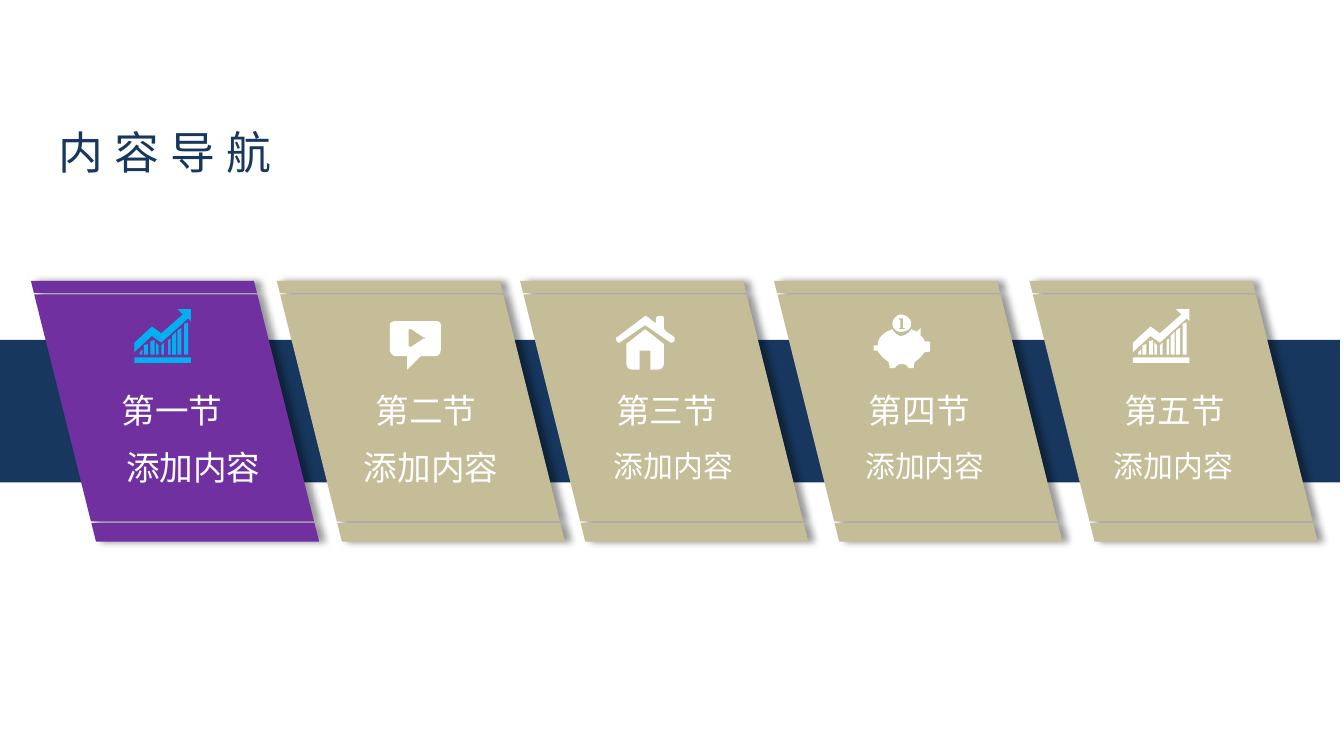
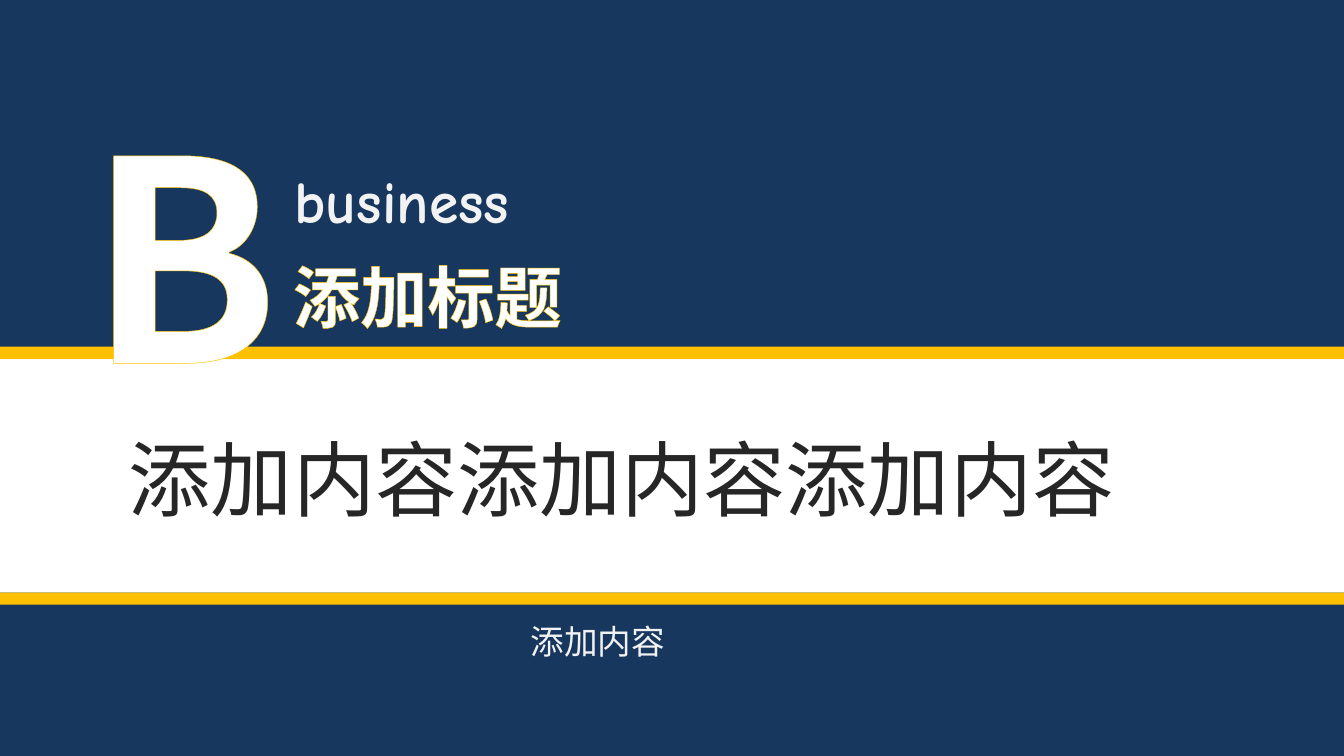
from lxml import etree
from pptx import Presentation
from pptx.dml.color import RGBColor
from pptx.enum import shapes, text
from pptx.oxml import ns
from pptx.util import Inches, Pt

NAVY, WHITE, GOLD, TAN = "17375E", "FFFFFF", "FFC000", "C4BD97"
PURPLE, CYAN, PALE, DARK = "7030A0", "00B0F0", "F2F2F2", "262626"
SANS, COMIC = "Noto Sans CJK SC", "Comic Neue"
TIGHT = (0.07, 0.04)

# Icons in hundredths of an inch: pairs are corners, sixes are Bezier curves
CHART_BARS = [  # left, right, top at left, top at right
    (4, 6, 32, 30), (7, 10, 27, 26), (12, 15, 24, 23), (16, 18, 25, 27),
    (20, 22, 27, 25), (25, 27, 23, 22), (28, 31, 20, 17), (32, 35, 16, 14),
    (37, 40, 11, 10),
]
CHART = [
    [(0, 36), (42, 36), (42, 40), (0, 40)],
    [(0, 25), (13, 13), (20, 18), (36, 4), (32, 0), (42, 0), (42, 9), (40, 7),
     (20, 25), (13, 20), (0, 32)],
] + [[(x0, y0), (x0, 34), (x1, 34), (x1, y1)] for x0, x1, y0, y1 in CHART_BARS]
BUBBLE = [
    [(34, 0), (4, 0), (2, 0, 0, 1, 0, 3), (0, 21), (0, 23, 2, 26, 4, 26),
     (13, 26), (13, 36), (23, 26), (34, 26), (37, 26, 38, 23, 38, 21), (38, 3),
     (38, 1, 37, 0, 34, 0)],
    [(25, 13), (16, 19), (14, 19, 14, 19, 14, 17), (14, 7),
     (14, 6, 14, 6, 16, 6), (25, 12), (27, 12, 27, 13, 25, 13)],
]
HOUSE = [
    [(22, 10), (8, 21), (8, 35), (8, 37, 9, 40, 12, 40), (18, 40), (18, 26),
     (26, 26), (26, 40), (32, 40), (35, 40, 36, 37, 36, 35), (36, 21)],
    [(1, 19), (0, 17, 0, 16, 1, 16), (21, 1), (22, 0), (24, 1), (29, 5),
     (30, 6, 30, 5, 30, 4), (30, 2), (30, 1, 32, 0, 32, 0), (35, 0),
     (35, 0, 36, 1, 36, 2), (36, 9), (36, 10, 37, 11, 38, 12), (44, 16),
     (44, 16, 44, 17, 44, 19), (43, 19), (43, 20, 42, 20, 41, 20), (22, 7),
     (3, 20), (2, 20, 1, 20, 1, 19)],
]
PIGGY = [
    [(28, 11), (30, 12, 31, 12, 32, 13), (35, 10), (35, 16),
     (36, 16, 38, 19, 38, 20), (40, 20), (40, 20, 42, 20, 42, 21), (42, 27),
     (42, 28, 40, 28, 40, 28), (38, 28), (36, 31, 34, 33, 31, 35),
     (30, 36, 30, 37, 30, 40), (26, 40), (26, 39, 24, 37, 22, 37), (20, 37),
     (18, 37, 16, 39, 16, 40), (12, 40), (12, 37, 11, 36, 11, 35),
     (7, 33, 4, 29, 3, 27), (0, 27), (0, 23), (3, 23), (3, 17, 8, 13, 14, 11),
     (15, 13, 18, 16, 20, 16), (24, 16, 27, 13, 28, 11)],
    [(20, 0), (18, 0, 14, 3, 14, 7), (14, 11, 18, 13, 20, 13),
     (24, 13, 28, 11, 28, 7), (28, 3, 24, 0, 20, 0)],
    [(19, 11), (23, 11), (23, 10), (22, 10), (22, 3), (19, 3), (19, 4),
     (20, 4), (20, 10), (19, 10)],
]

# Card left, fill; icon, its left, top, colour; heading and left; caption, left, size, box
WIDE, NARROW = (18, 1.21, 0.4), (16, 1.1, 0.37)
CARDS = [
    (0.23, PURPLE, CHART, 1.0, 2.3, CYAN, "第一节", 0.41, "添加内容", 0.84, WIDE),
    (2.06, TAN, BUBBLE, 2.9, 2.39, WHITE, "第二节", 2.3, "添加内容", 2.61, WIDE),
    (3.87, TAN, HOUSE, 4.58, 2.35, WHITE, "第三节", 4.09, "添加内容", 4.47, NARROW),
    (5.76, TAN, PIGGY, 6.5, 2.34, WHITE, "第四节", 5.97, "添加内容", 6.34, NARROW),
    (7.66, TAN, CHART, 8.43, 2.3, WHITE, "第五节", 7.87, "添加内容", 8.19, NARROW),
]
CARD_TOP, CARD_W, SLANT = 2.09, 1.66, 0.25
CARD_STRIPS = [(0, 0.09), (0.1, 1.79), (1.8, 1.94)]

# Second slide: bands (top, height, fill) and texts (box, words, style)
BANDS = [(2.67, 1.74, WHITE), (2.58, 0.09, GOLD), (4.41, 0.09, GOLD)]
COVER_TEXTS = [
    ((0.86, 3.14, 8.08, 0.84), "添加内容添加内容添加内容", dict(size=44, color=DARK)),
    ((0.24, 0.58, 2.25, 2.6), "B",
     dict(size=150, bold=True, center=True, outline=GOLD, inset=TIGHT)),
    ((2.11, 1.86, 3.71, 0.68), "添加标题",
     dict(size=36, bold=True, outline=GOLD, inset=TIGHT)),
    ((2.12, 1.18, 2.25, 0.61), "business",
     dict(size=32, color=PALE, font=COMIC, bold=True, inset=TIGHT)),
    ((3.85, 4.57, 2.31, 0.4), "添加内容", dict(color=PALE)),
]


def rgb(color):
    return RGBColor.from_string(color)


def sub(parent, tag, **attrs):
    return etree.SubElement(parent, ns.qn(tag), {k: str(v) for k, v in attrs.items()})


def paint(sp, color):
    sp.shadow.inherit = False
    sp.fill.solid()
    sp.fill.fore_color.rgb = rgb(color)
    sp.line.fill.background()


def new_slide(color):
    slide = prs.slides.add_slide(prs.slide_layouts[6])
    slide.background.fill.solid()
    slide.background.fill.fore_color.rgb = rgb(color)
    return slide


def add_band(slide, box, color):
    sp = slide.shapes.add_shape(shapes.MSO_SHAPE.RECTANGLE, *map(Inches, box))
    paint(sp, color)


def add_text(slide, box, words, size=18, color=WHITE, font=SANS, bold=False,
             center=False, wrap=True, outline=None, spacing=0, inset=(0.1, 0.05)):
    tf = slide.shapes.add_textbox(*map(Inches, box)).text_frame
    tf.word_wrap = wrap
    tf.auto_size = text.MSO_AUTO_SIZE.SHAPE_TO_FIT_TEXT
    tf.margin_left = tf.margin_right = Inches(inset[0])
    tf.margin_top = tf.margin_bottom = Inches(inset[1])
    p = tf.paragraphs[0]
    p.alignment = text.PP_ALIGN.CENTER if center else text.PP_ALIGN.LEFT
    r = p.add_run()
    r.text = words
    r.font.size, r.font.bold, r.font.name = Pt(size), bold, font
    r.font.color.rgb = rgb(color)
    r_pr = r.font._element
    sub(r_pr, "a:ea", typeface=font)
    if spacing:
        r_pr.set("spc", str(spacing * 100))
    if outline:
        ln = sub(r_pr, "a:ln", w=Pt(1.4))
        sub(sub(ln, "a:solidFill"), "a:srgbClr", val=outline)
        r_pr.insert(0, ln)


def flatten(contour, steps=6):
    """Turn corners and Bezier curves into plain points."""
    points = []
    for node in contour:
        if len(node) == 2:
            points.append(node)
            continue
        ctrl = [points[-1], node[:2], node[2:4], node[4:]]
        for i in range(1, steps + 1):
            t = i / steps
            weights = ((1 - t) ** 3, 3 * t * (1 - t) ** 2, 3 * t * t * (1 - t), t ** 3)
            points.append(tuple(sum(w * c[k] for w, c in zip(weights, ctrl))
                                for k in (0, 1)))
    return points


def add_outline(slide, left, top, contours, color, unit=1.0):
    builder = None
    for contour in contours:
        pts = [(Inches(left + x * unit), Inches(top + y * unit))
               for x, y in flatten(contour)]
        if builder is None:
            builder = slide.shapes.build_freeform(*pts[0])
        else:
            builder.move_to(*pts[0])
        builder.add_line_segments(pts[1:], close=True)
    sp = builder.convert_to_shape()
    paint(sp, color)
    return sp


def add_card(slide, left, color):
    strips = [[(SLANT * a, a), (SLANT * a + CARD_W, a),
               (SLANT * b + CARD_W, b), (SLANT * b, b)] for a, b in CARD_STRIPS]
    sp = add_outline(slide, left, CARD_TOP, strips, color)
    effects = sp._element.spPr.find(ns.qn("a:effectLst"))
    shadow = sub(effects, "a:outerShdw", blurRad=Pt(4), dist=Pt(3), dir=0,
                 algn="l", rotWithShape=0)
    sub(sub(shadow, "a:srgbClr", val="000000"), "a:alpha", val=40000)


def build_navigation():
    slide = new_slide(WHITE)
    add_band(slide, (-0.04, 2.53, 10.01, 1.06), NAVY)
    add_text(slide, (0.34, 0.88, 2.56, 0.5), "内容导航", 24, NAVY, spacing=6)
    for (left, fill, icon, icon_x, icon_y, icon_color,
         heading, head_x, caption, cap_x, (size, w, h)) in CARDS:
        add_card(slide, left, fill)
        add_outline(slide, icon_x, icon_y, icon, icon_color, unit=0.01)
        add_text(slide, (head_x, 2.85, 1.74, 0.4), heading, center=True)
        add_text(slide, (cap_x, 3.28, w, h), caption, size, wrap=False)


def build_section():
    slide = new_slide(NAVY)
    for top, height, color in BANDS:
        add_band(slide, (0, top, 10, height), color)
    for box, words, style in COVER_TEXTS:
        add_text(slide, box, words, **style)


prs = Presentation()
prs.slide_width = Inches(10)
prs.slide_height = prs.slide_width * 9 // 16
build_navigation()
build_section()
prs.save("out.pptx")
